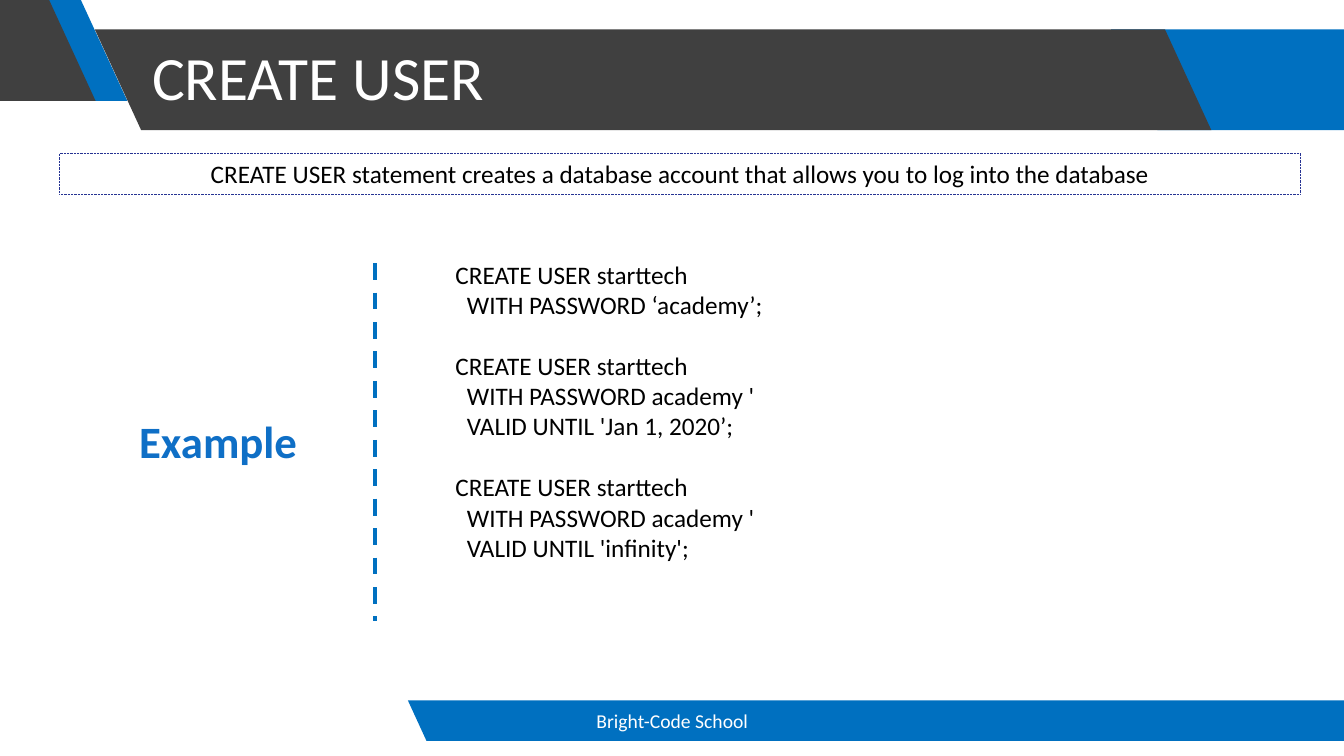
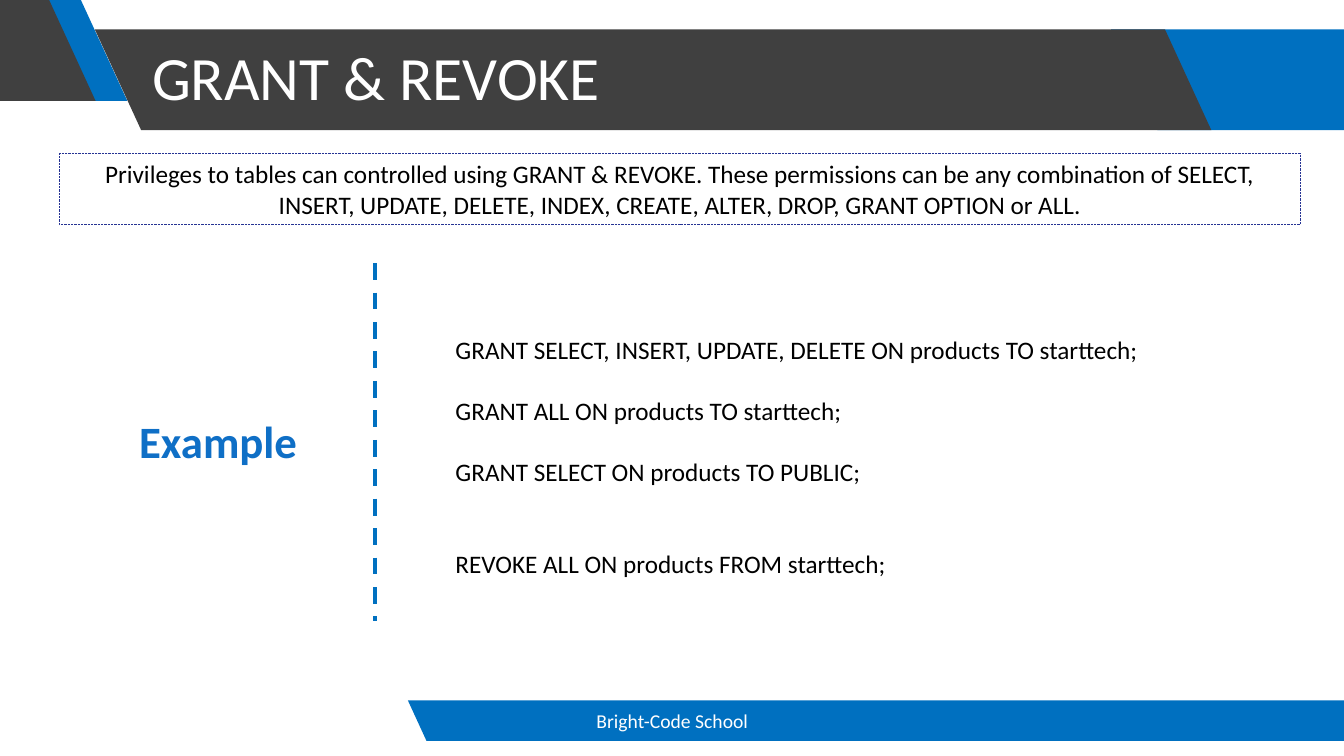
from lxml import etree
from pptx import Presentation
from pptx.dml.color import RGBColor
from pptx.enum.dml import MSO_LINE
from pptx.enum.shapes import MSO_CONNECTOR, MSO_SHAPE
from pptx.enum.text import MSO_ANCHOR as ANCHOR, MSO_AUTO_SIZE as AUTO_SIZE, PP_ALIGN as ALIGN
from pptx.oxml.ns import qn
from pptx.util import Cm, Pt

COLOURS = {
    "white": "FFFFFF",
    "black": "000000",
    "charcoal": "404040",
    "blue": "0070C0",
    "label": "0F6FC6",
    "frame": "263393",
}
FONT = "Calibri"
SLIDE_WIDTH, SLIDE_HEIGHT = 33.87, 19.05
SLANT = 0.46  # sideways shift of a band edge per unit of height
LINE_HEIGHT = 22  # points, one line of code
FOOTER = "Bright-Code School"

# left and right at the top edge, top, height, colour
BANDS = [
    (28, SLIDE_WIDTH, 0.74, 2.54, "blue"),
    (0.86, 2.04, 0, 2.54, "blue"),
    (0, 1.24, 0, 2.54, "charcoal"),
    (2.39, 29.36, 0.74, 2.54, "charcoal"),
    (10.28, SLIDE_WIDTH, 17.65, 1.02, "blue"),
]

# title, definition, height of its frame, top of the code,
# statements as (empty lines before, lines)
TOPICS = [
    (
        "CREATE USER",
        "CREATE USER statement creates a database account that allows you to log into the database",
        1.03,
        6.4,
        [
            (0, ["CREATE USER starttech", "  WITH PASSWORD ‘academy’;"]),
            (1, ["CREATE USER starttech", "  WITH PASSWORD academy '", "  VALID UNTIL 'Jan 1, 2020’;"]),
            (1, ["CREATE USER starttech", "  WITH PASSWORD academy '", "  VALID UNTIL 'infinity';"]),
        ],
    ),
    (
        "GRANT & REVOKE",
        "Privileges to tables can controlled using GRANT & REVOKE. These permissions can be any "
        "combination of SELECT, INSERT, UPDATE, DELETE, INDEX, CREATE, ALTER, DROP, GRANT OPTION or ALL.",
        1.8,
        8.31,
        [
            (0, ["GRANT SELECT, INSERT, UPDATE, DELETE ON products TO starttech;"]),
            (1, ["GRANT ALL ON products TO starttech;"]),
            (1, ["GRANT SELECT ON products TO PUBLIC;"]),
            (2, ["REVOKE ALL ON products FROM starttech;"]),
        ],
    ),
]


def rgb(name):
    return RGBColor.from_string(COLOURS[name])


def write(paragraph, text, size, colour, align=ALIGN.LEFT, bold=False):
    paragraph.alignment = align
    run = paragraph.add_run()
    run.text = text
    run.font.name = FONT
    run.font.size = Pt(size)
    run.font.bold = bold
    run.font.color.rgb = rgb(colour)


def add_band(slide, left, right, top, height, colour):
    """Draw a band whose ends slant, except where they meet the slide edge."""
    shift = SLANT * height
    low_left = left + shift if left > 0 else left
    low_right = right + shift if right < SLIDE_WIDTH else right
    bottom = top + height
    outline = slide.shapes.build_freeform(Cm(left), Cm(top))
    outline.add_line_segments(
        [(Cm(right), Cm(top)), (Cm(low_right), Cm(bottom)), (Cm(low_left), Cm(bottom))]
    )
    band = outline.convert_to_shape()
    band.shadow.inherit = False
    band.fill.solid()
    band.fill.fore_color.rgb = rgb(colour)
    band.line.fill.background()


def add_title(slide, text):
    title = slide.shapes.title
    title.left, title.top, title.width, title.height = Cm(3.58), Cm(0.18), Cm(25.76), Cm(3.68)
    slide.shapes._spTree.append(title._element)  # in front of the bands
    frame = title.text_frame
    frame.auto_size = AUTO_SIZE.NONE
    frame.vertical_anchor = ANCHOR.MIDDLE
    frame.paragraphs[0].line_spacing = 0.9
    write(frame.paragraphs[0], text, 44, "white")


def add_text_box(slide, left, top, width, height, anchor=ANCHOR.TOP):
    frame = slide.shapes.add_textbox(Cm(left), Cm(top), Cm(width), Cm(height)).text_frame
    frame.word_wrap = True
    frame.vertical_anchor = anchor
    return frame


def add_definition(slide, text, height):
    box = slide.shapes.add_shape(MSO_SHAPE.RECTANGLE, Cm(1.5), Cm(3.86), Cm(31.27), Cm(height))
    box.shadow.inherit = False
    box.fill.background()
    box.line.color.rgb = rgb("frame")
    box.line.width = Pt(0.5)
    box.line.dash_style = MSO_LINE.ROUND_DOT
    box.text_frame.word_wrap = True
    write(box.text_frame.paragraphs[0], text, 18, "black", ALIGN.CENTER)


def add_divider(slide):
    divider = slide.shapes.add_connector(
        MSO_CONNECTOR.STRAIGHT, Cm(9.45), Cm(6.63), Cm(9.45), Cm(15.65)
    )
    divider.line.color.rgb = rgb("blue")
    divider.line.width = Pt(3)
    divider.line.dash_style = MSO_LINE.DASH
    etree.SubElement(divider._element.spPr, qn("a:effectLst"))


def add_code(slide, top, statements):
    line_count = sum(gap + len(lines) for gap, lines in statements)
    height = round(line_count * LINE_HEIGHT / 72 * 2.54 + 0.25, 2)
    frame = add_text_box(slide, 11.23, top, 20.98, height)
    paragraph = frame.paragraphs[0]
    for gap, lines in statements:
        for number, line in enumerate(lines):
            if paragraph.runs:
                paragraph = frame.add_paragraph()
            if gap and number == 0:
                paragraph.space_before = Pt(gap * LINE_HEIGHT)
            write(paragraph, line, 18, "black")


def add_topic(deck, title, definition, frame_height, code_top, statements):
    slide = deck.slides.add_slide(deck.slide_layouts.get_by_name("Title Only"))
    for band in BANDS:
        add_band(slide, *band)
    add_title(slide, title)
    footer = add_text_box(slide, 11.23, 17.65, 11.43, 1.02, ANCHOR.MIDDLE)
    write(footer.paragraphs[0], FOOTER, 14, "white", ALIGN.CENTER)
    add_definition(slide, definition, frame_height)
    add_divider(slide)
    add_code(slide, code_top, statements)
    label = add_text_box(slide, 1.17, 10.31, 8.66, 1.62)
    write(label.paragraphs[0], "Example", 32, "label", ALIGN.CENTER, bold=True)


def main():
    deck = Presentation()
    deck.slide_width, deck.slide_height = Cm(SLIDE_WIDTH), Cm(SLIDE_HEIGHT)
    for topic in TOPICS:
        add_topic(deck, *topic)
    deck.save("out.pptx")


if __name__ == "__main__":
    main()
